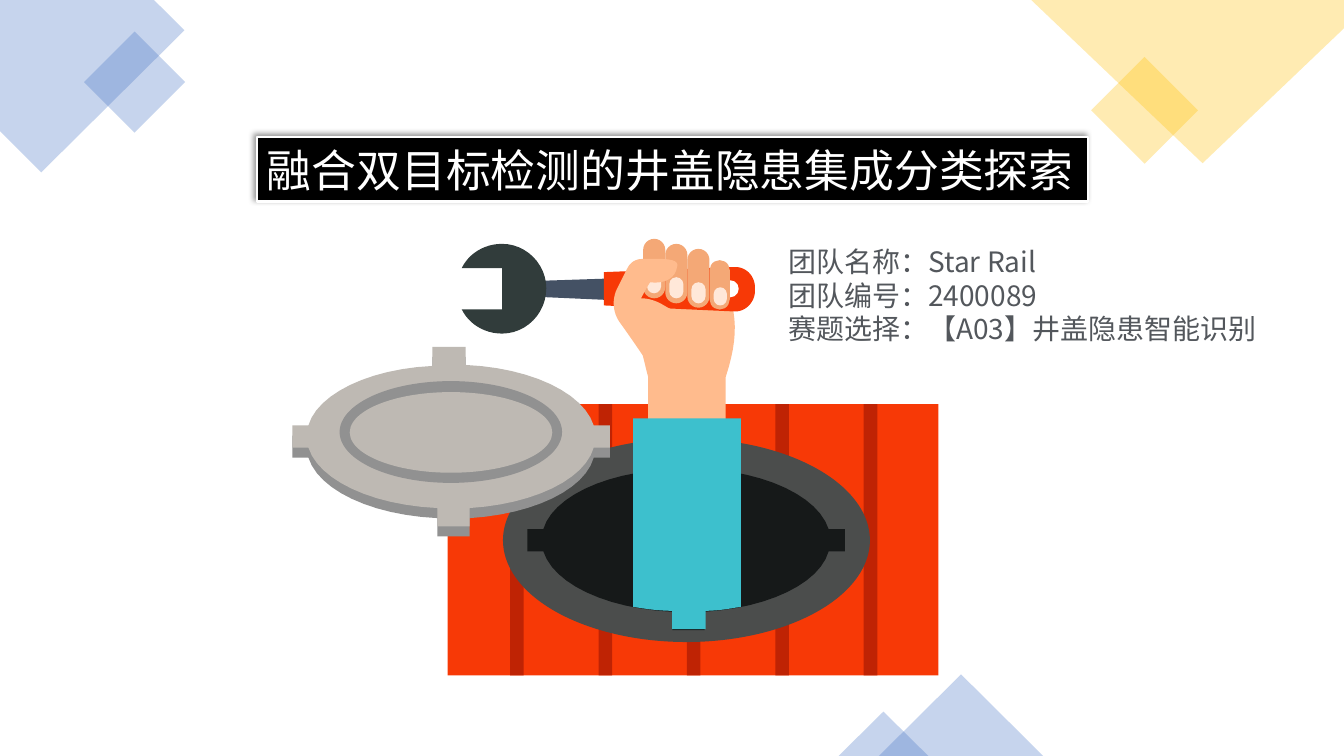
from typing import NamedTuple

from lxml import etree
from pptx import Presentation
from pptx.dml.color import RGBColor
from pptx.enum.shapes import MSO_SHAPE
from pptx.enum.text import MSO_ANCHOR, PP_ALIGN
from pptx.oxml.ns import qn
from pptx.util import Pt

RECT, OVAL = MSO_SHAPE.RECTANGLE, MSO_SHAPE.OVAL
CAPSULE, TRIANGLE = MSO_SHAPE.ROUNDED_RECTANGLE, MSO_SHAPE.ISOSCELES_TRIANGLE
MIDDLE, LEFT = MSO_ANCHOR.MIDDLE, PP_ALIGN.LEFT

FONT = "Noto Sans CJK SC"
BLUE, YELLOW, WHITE, BLACK = "4472C4", "FFC000", "FFFFFF", "000000"
RED, DARK_RED, RIM_GREY, PIT = "F73906", "BF2304", "4B4D4C", "161919"
COVER_GREY, COVER_EDGE = "BEB9B3", "919191"
SKIN, FINGER_SKIN, NAIL = "FFBB8D", "F4A876", "FFE8D9"
STEEL, JAW, SLEEVE, INK = "445164", "313C3B", "3DC0CD", "53575C"
CORNER_OPACITY = 30
CURVE_STEPS = 12


class Part(NamedTuple):
    kind: int
    left: float
    top: float
    width: float
    height: float
    color: str
    opacity: int = 100
    rotation: float = 0


class Outline(NamedTuple):
    """Steps of 2 numbers are corners, steps of 6 are Bezier curves."""
    steps: list[tuple[float, ...]]
    color: str
    left: float = 0
    top: float = 0
    opacity: int = 100


def paint(fill, color: str, opacity: int = 100) -> None:
    fill.solid()
    fill.fore_color.rgb = RGBColor.from_string(color)
    if opacity < 100:
        rgb = fill.fore_color._xFill.find(qn("a:srgbClr"))
        etree.SubElement(rgb, qn("a:alpha"), val=str(opacity * 1000))


def finish(shape, color: str, opacity: int) -> None:
    shape.shadow.inherit = False
    shape.line.fill.background()
    paint(shape.fill, color, opacity)


def draw_part(shapes, part: Part):
    shape = shapes.add_shape(part.kind, Pt(part.left), Pt(part.top),
                             Pt(part.width), Pt(part.height))
    shape.rotation = part.rotation
    if part.kind == CAPSULE:
        shape.adjustments[0] = 0.5
    finish(shape, part.color, part.opacity)
    return shape


def corners(steps: list[tuple[float, ...]]) -> list[tuple[float, float]]:
    points = [steps[0]]
    for step in steps[1:]:
        if len(step) == 2:
            points.append(step)
            continue
        x0, y0 = points[-1]
        x1, y1, x2, y2, x3, y3 = step
        for i in range(1, CURVE_STEPS + 1):
            t = i / CURVE_STEPS
            a, b, c, d = (1 - t) ** 3, 3 * t * (1 - t) ** 2, 3 * t * t * (1 - t), t ** 3
            points.append((a * x0 + b * x1 + c * x2 + d * x3,
                           a * y0 + b * y1 + c * y2 + d * y3))
    return points


def draw_outline(shapes, outline: Outline) -> None:
    points = [(Pt(outline.left + x), Pt(outline.top + y))
              for x, y in corners(outline.steps)]
    builder = shapes.build_freeform(*points[0])
    builder.add_line_segments(points[1:], close=True)
    finish(builder.convert_to_shape(), outline.color, outline.opacity)


def draw(shapes, items: list[Part | Outline]) -> None:
    for item in items:
        if isinstance(item, Part):
            draw_part(shapes, item)
        else:
            draw_outline(shapes, item)


def add_run(paragraph, text: str, size: float, color: str) -> None:
    run = paragraph.add_run()
    run.text = text
    run.font.size = Pt(size)
    paint(run.font.fill, color)
    run.font.name = FONT
    etree.SubElement(run.font._element, qn("a:ea"), typeface=FONT)


# Corner decorations
CORNERS = [
    Outline([(0, 0), (110, 0), (131.8, 21.6), (29.5, 123.1), (0, 93.6)],
            BLUE, opacity=CORNER_OPACITY),
    Part(RECT, 70.6, 33.1, 51.1, 51.1, BLUE, CORNER_OPACITY, 315),
    Part(RECT, 790.6, 51.8, 54, 54, YELLOW, CORNER_OPACITY, 315),
    Outline([(960, 0), (736.6, 0), (859, 116.6), (960, 20.2)],
            YELLOW, opacity=CORNER_OPACITY),
    Part(TRIANGLE, 627.8, 481.7, 117.4, 58.3, BLUE, CORNER_OPACITY),
    Part(TRIANGLE, 599, 508.3, 64.1, 31.7, BLUE, CORNER_OPACITY),
]

# Cover and pit share one tabbed oval
TABBED_OVAL = [
    (226.8, 56.2), (215.3, 56.2), (208.1, 33.1, 170.6, 15.1, 123.8, 13),
    (123.8, 0), (100.1, 0), (100.1, 13.7), (54.7, 15.8, 18, 33.8, 11.5, 56.2),
    (0, 56.2), (0, 72), (11.5, 72), (18.7, 95, 56.2, 113, 103.7, 115.2),
    (103.7, 128.2), (126.7, 128.2), (126.7, 115.2),
    (172.1, 112.3, 208.8, 95, 215.3, 72), (226.8, 72),
]
GROUND = [
    Part(RECT, 319.7, 288.7, 350.6, 193.7, RED),
    *(Part(RECT, 364.4 + 63.15 * i, 288.7, 9.7, 193.7, DARK_RED) for i in range(5)),
    Part(OVAL, 359.3, 313.2, 262.1, 145.4, RIM_GREY),
    Outline(TABBED_OVAL, PIT, 376.6, 321.8),
    Outline(TABBED_OVAL, COVER_EDGE, 208.8, 254.9),
]
COVER = [
    Outline(TABBED_OVAL, COVER_GREY, 208.8, 247.7),
    Part(OVAL, 242.6, 272.2, 158.9, 72.7, COVER_EDGE),
    Part(OVAL, 249.8, 280.1, 144.7, 57.6, COVER_GREY),
]

# Arm and wrench
WRIST = [
    Outline([(461.5, 263.5), (463, 269.3), (518.4, 269.3),
             (527.8, 240.5, 526.3, 223.9, 518.4, 203),
             (463, 201.6), (452.2, 225.4)], SKIN),
    Part(RECT, 463, 269.3, 55.4, 50.4, SKIN),
]
WRENCH = [
    Outline([(376.6, 211.7), (376.6, 200.9), (442.1, 198.7), (442.1, 214.6)], STEEL),
    Outline([(329.8, 191.5), (358.6, 191.5), (358.6, 221), (329.8, 221),
             (334.8, 231.1, 345.6, 238.3, 358.6, 238.3),
             (375.8, 238.3, 390.2, 223.9, 390.2, 205.9),
             (390.2, 188.6, 375.8, 174.2, 358.6, 174.2),
             (345.6, 174.2, 334.8, 181.4, 329.8, 191.5)], JAW),
    Outline([(524.2, 190.8), (431.3, 194.4), (431.3, 218.2), (524.2, 222.5),
             (532.1, 223.2, 539.3, 216, 539.3, 208.1), (539.3, 205.2),
             (539.3, 196.6, 532.1, 190.1, 524.2, 190.8)], RED),
    Part(OVAL, 515.5, 200.2, 12.2, 12.2, WHITE),
]
FINGERS = [Part(CAPSULE, *box, FINGER_SKIN) for box in (
    (459.4, 170.6, 15.8, 42.5), (491, 177.8, 15.8, 42),
    (506.9, 185.8, 14.4, 35.3), (475.2, 174.2, 15.8, 42.5))]
NAILS = [Part(CAPSULE, *box, NAIL) for box in (
    (462.2, 194.4, 10.1, 15.1), (478.1, 198, 10.1, 15.1),
    (493.9, 201.6, 10.1, 15.1), (509.8, 205.2, 9.4, 13))]
THUMB_AND_SLEEVE = [
    Outline([(458.6, 185), (468.7, 185, 485.3, 183.6, 483.8, 190.1),
             (481.7, 204.5, 464.4, 201.6, 464.4, 201.6),
             (460.8, 207.4, 457.9, 213.1, 457.9, 213.1),
             (463, 213.1, 468, 214.6, 473, 217.4),
             (496.1, 229, 501.8, 252.7, 478.8, 256.3),
             (470.2, 257.8, 461.5, 256.3, 460.8, 256.3),
             (460.8, 256.3, 450.7, 241.2, 442.8, 230.4),
             (437.8, 223.2, 437, 214.6, 440.6, 206.6), (448.6, 190.8),
             (450.7, 187.2, 454.3, 185, 458.6, 185)], SKIN),
    Outline([(529.2, 298.8), (529.2, 433.4), (520.6, 434.9, 512.6, 436.3, 504, 436.3),
             (504, 449.3), (480.2, 449.3), (480.2, 436.3),
             (470.2, 436.3, 460.8, 434.9, 452.2, 433.4), (452.2, 298.8)], SLEEVE),
]
TEAM_LINES = ["团队名称：Star Rail", "团队编号：2400089", "赛题选择：【A03】井盖隐患智能识别"]


def add_title(shapes) -> None:
    title = draw_part(shapes, Part(RECT, 183.6, 97.9, 593.3, 46.1, BLACK))
    paint(title.line.fill, WHITE)
    title.line.width = Pt(1.5)
    effects = title._element.spPr.find(qn("a:effectLst"))
    shadow = etree.SubElement(effects, qn("a:outerShdw"), blurRad=str(Pt(4)),
                              dist=str(Pt(3)), dir=str(225 * 60000))
    rgb = etree.SubElement(shadow, qn("a:srgbClr"), val=BLACK)
    etree.SubElement(rgb, qn("a:alpha"), val="40000")
    frame = title.text_frame
    frame.word_wrap = True
    frame.vertical_anchor = MIDDLE
    frame.margin_top = frame.margin_bottom = Pt(0)
    frame.paragraphs[0].alignment = LEFT
    add_run(frame.paragraphs[0], "融合双目标检测的井盖隐患集成分类探索", 32, WHITE)


def add_team(shapes) -> None:
    frame = shapes.add_textbox(Pt(555.8), Pt(169.2), Pt(352.1), Pt(85.7)).text_frame
    frame.word_wrap = True
    frame.margin_top = Pt(5.5)
    for i, line in enumerate(TEAM_LINES):
        paragraph = frame.add_paragraph() if i else frame.paragraphs[0]
        paragraph.line_spacing = Pt(24)
        add_run(paragraph, line, 20, INK)


def main() -> None:
    deck = Presentation()
    deck.slide_width, deck.slide_height = Pt(960), Pt(540)
    shapes = deck.slides.add_slide(deck.slide_layouts[6]).shapes
    draw(shapes, CORNERS + GROUND + WRIST + WRENCH + FINGERS + NAILS
         + THUMB_AND_SLEEVE + COVER)
    add_title(shapes)
    add_team(shapes)
    deck.save("out.pptx")


if __name__ == "__main__":
    main()
